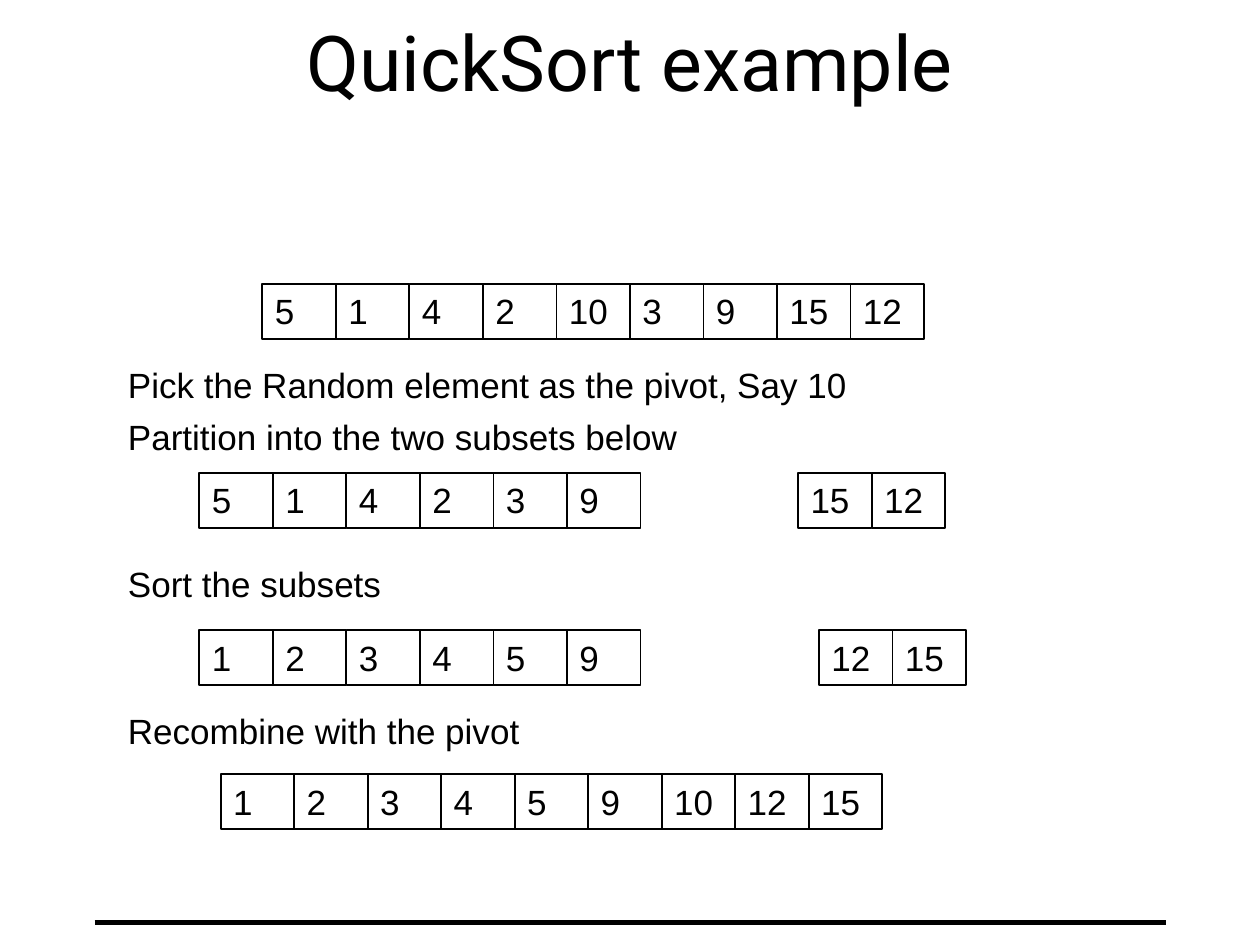
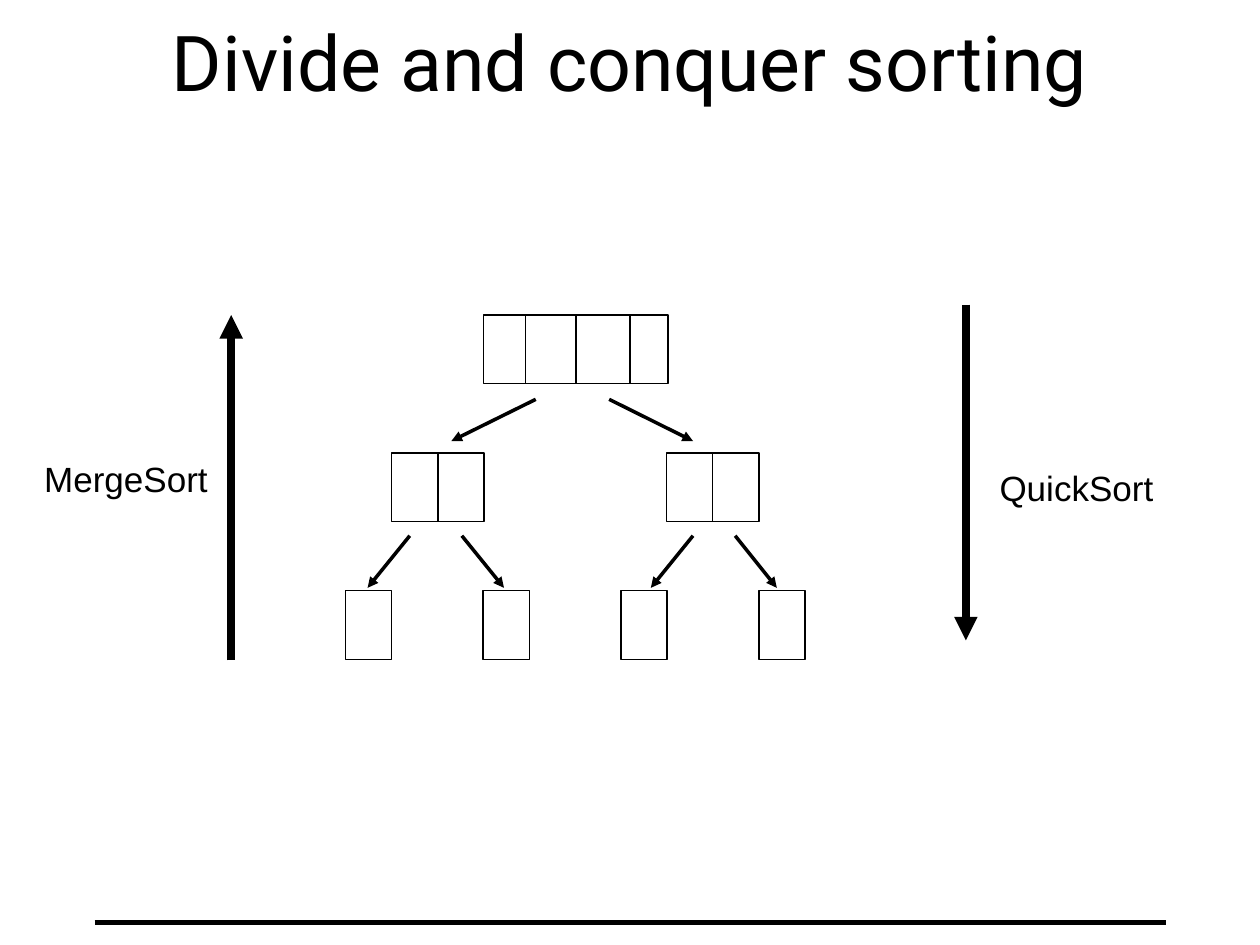
from dataclasses import dataclass

from lxml.etree import SubElement
from pptx import Presentation
from pptx.dml.color import RGBColor
from pptx.enum.shapes import MSO_CONNECTOR, MSO_SHAPE
from pptx.enum.text import MSO_ANCHOR, PP_ALIGN
from pptx.oxml.ns import qn
from pptx.util import Cm, Pt


@dataclass(frozen=True)
class Theme:
    ink: RGBColor = RGBColor(0, 0, 0)
    title_font: str = "Roboto"
    body_font: str = "Arial"
    title_size: float = 44
    body_size: float = 20
    rule_line: float = 3
    cell_line: float = 1
    node_line: float = 0.75
    branch_line: float = 2
    direction_line: float = 4.5


THEME = Theme()

# Array cells on the example slide, in cm
CELL_WIDTH, CELL_HEIGHT = 1.482, 1.11
STEP_LEFT = 2.33

# Nodes of the sorting tree, in cm
ITEM_WIDTH, NODE_HEIGHT = 0.93, 1.39
TREE_TOP, LEVEL_STEP = 6.35, 2.78


def write(frame, text, font, size, align=PP_ALIGN.LEFT, anchor=MSO_ANCHOR.TOP):
    frame.word_wrap = True
    frame.vertical_anchor = anchor
    paragraph = frame.paragraphs[0]
    paragraph.alignment = align
    run = paragraph.add_run()
    run.text = text
    run.font.name = font
    run.font.size = Pt(size)
    run.font.color.rgb = THEME.ink


def add_line(slide, start, end, width, arrow=False):
    line = slide.shapes.add_connector(
        MSO_CONNECTOR.STRAIGHT, *(Cm(value) for value in (*start, *end)))
    line.line.color.rgb = THEME.ink
    line.line.width = Pt(width)
    if arrow:
        SubElement(line.line._get_or_add_ln(), qn("a:tailEnd"), type="triangle")
    SubElement(line._element.spPr, qn("a:effectLst"))
    return line


def add_box(slide, left, top, width, height, outline):
    box = slide.shapes.add_shape(
        MSO_SHAPE.RECTANGLE, Cm(left), Cm(top), Cm(width), Cm(height))
    box.shadow.inherit = False
    box.fill.background()
    box.line.color.rgb = THEME.ink
    box.line.width = Pt(outline)
    return box


def add_label(slide, text, left, top, width):
    label = slide.shapes.add_textbox(Cm(left), Cm(top), Cm(width), Cm(CELL_HEIGHT))
    write(label.text_frame, text, THEME.body_font, THEME.body_size)


def add_array(slide, left, top, values):
    for index, value in enumerate(values):
        cell = add_box(slide, left + index * CELL_WIDTH, top,
                       CELL_WIDTH, CELL_HEIGHT, THEME.cell_line)
        write(cell.text_frame, str(value), THEME.body_font, THEME.body_size)


def add_node(slide, left, level, items, dividers=()):
    """Draw a tree node; an even node is also split at its middle."""
    top = TREE_TOP + level * LEVEL_STEP
    bottom = top + NODE_HEIGHT
    width = items * ITEM_WIDTH
    node = add_box(slide, left, top, width, NODE_HEIGHT, THEME.node_line)
    for x in dividers:
        add_line(slide, (x, top), (x, bottom), THEME.node_line)
    if items > 1:
        middle = left + width / 2
        halving = add_line(slide, (middle, top), (middle, bottom), THEME.node_line)
        halving.begin_connect(node, 0)
        halving.end_connect(node, 2)


def start_slide(deck, heading):
    slide = deck.slides.add_slide(deck.slide_layouts[6])
    add_line(slide, (1.91, 18.59), (23.5, 18.59), THEME.rule_line)
    title = slide.shapes.add_textbox(Cm(1.91), 0, Cm(21.59), Cm(2.44))
    write(title.text_frame, heading, THEME.title_font, THEME.title_size,
          PP_ALIGN.CENTER, MSO_ANCHOR.MIDDLE)
    return slide


def build_example(deck):
    slide = start_slide(deck, "QuickSort example")

    # Steps of the algorithm
    for text, top, width in (
        ("Pick the Random element as the pivot, Say 10", 7.2, 15.03),
        ("Partition into the two subsets below", 8.26, 12.07),
        ("Sort the subsets", 11.22, 7),
        ("Recombine with the pivot", 14.18, 12.07),
    ):
        add_label(slide, text, STEP_LEFT, top, width)

    # State of the numbers after each step
    for left, top, values in (
        (5.29, 5.72, (5, 1, 4, 2, 10, 3, 9, 15, 12)),
        (4.02, 9.53, (5, 1, 4, 2, 3, 9)),
        (16.09, 9.53, (15, 12)),
        (4.02, 12.7, (1, 2, 3, 4, 5, 9)),
        (16.51, 12.7, (12, 15)),
        (4.45, 15.6, (1, 2, 3, 4, 5, 9, 10, 12, 15)),
    ):
        add_array(slide, left, top, values)


def build_tree(deck):
    slide = start_slide(deck, "Divide and conquer sorting")

    # Whole list, halves and single items
    add_node(slide, 9.75, 0, 4, dividers=(10.59, 12.7))
    for left in (7.9, 13.44):
        add_node(slide, left, 1, 2)
    for index in range(4):
        add_node(slide, 6.96 + index * LEVEL_STEP, 2, 1)

    # Branches between the levels
    for top, bottom, spans in (
        (8.05, 8.89, ((10.8, 9.1), (12.28, 13.97))),
        (10.8, 11.85, ((8.26, 7.41), (9.31, 10.16),
                       (13.97, 13.12), (14.82, 15.66))),
    ):
        for start, end in spans:
            add_line(slide, (start, top), (end, bottom), THEME.branch_line, arrow=True)

    # Direction in which each algorithm works
    add_line(slide, (4.66, 13.31), (4.66, 6.35), THEME.direction_line, arrow=True)
    add_label(slide, "MergeSort", 0.64, 9.1, 4.23)
    add_line(slide, (19.47, 6.14), (19.47, 12.91), THEME.direction_line, arrow=True)
    add_label(slide, "QuickSort", 19.9, 9.27, 4.87)


def main():
    deck = Presentation()
    deck.slide_width, deck.slide_height = Cm(25.4), Cm(19.05)
    build_example(deck)
    build_tree(deck)
    deck.save("out.pptx")


if __name__ == "__main__":
    main()
